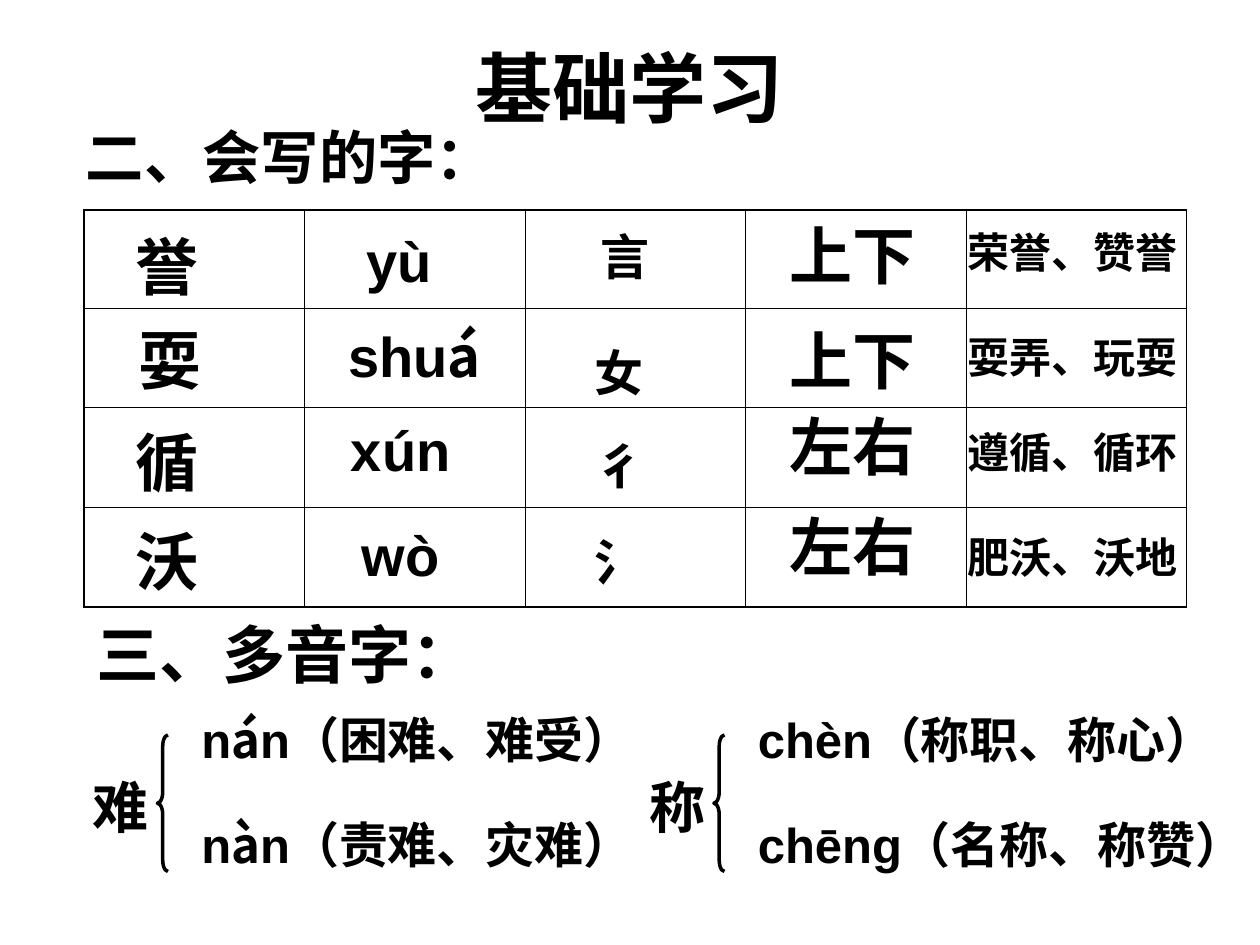
from lxml.etree import SubElement as Sub
from pptx import Presentation
from pptx.dml.color import RGBColor as RGB
from pptx.enum.shapes import MSO_SHAPE as Shape
from pptx.enum.text import MSO_ANCHOR as Anchor, MSO_AUTO_SIZE as Auto, PP_ALIGN as Align
from pptx.oxml.ns import qn
from pptx.util import Pt

COLORS = {"ink": "000000", "paper": "FFFFFF"}
ARIAL, TIMES, NOTO = "Arial", "Times New Roman", "Noto Sans CJK SC"


class Deck:
    thin, thick = 0.45, 1.08
    frame = {"word_wrap": True, "auto_size": Auto.NONE, "vertical_anchor": Anchor.TOP}

    def __init__(self, prs):
        self.s = prs.slides.add_slide(prs.slide_layouts[6])
        self.ink = RGB.from_string(COLORS["ink"])
        fill = self.s.background.fill
        fill.solid()
        fill.fore_color.rgb = RGB.from_string(COLORS["paper"])

    def text(self, box, runs, size, font=ARIAL, align=Align.LEFT, **frame):
        tf = self.s.shapes.add_textbox(*map(Pt, box)).text_frame
        for key, value in {**self.frame, **frame}.items():
            setattr(tf, key, value)
        p = tf.paragraphs[0]
        p.alignment = align
        for run in [runs] if isinstance(runs, str) else runs:
            words, name = (run, font) if isinstance(run, str) else run
            r = p.add_run()
            r.text = words
            for key, value in {"size": Pt(size), "bold": True, "name": name}.items():
                setattr(r.font, key, value)
            r.font.color.rgb = self.ink

    def border(self, cell, side, width):
        ln = Sub(cell._tc.get_or_add_tcPr(), qn(f"a:ln{side}"), w=str(int(Pt(width))))
        Sub(Sub(ln, qn("a:solidFill")), qn("a:srgbClr"), val=COLORS["ink"])

    def grid(self, left, top, widths, heights):
        rows, cols = len(heights), len(widths)
        box = map(Pt, (left, top, sum(widths), sum(heights)))
        table = self.s.shapes.add_table(rows, cols, *box).table
        table.first_row = table.horz_banding = False
        for col, width in zip(table.columns, widths):
            col.width = Pt(width)
        for i, height in enumerate(heights):
            table.rows[i].height = Pt(height)
            for j in range(cols):
                cell = table.cell(i, j)
                edges = {"L": j == 0, "R": j == cols - 1, "T": i == 0, "B": i == rows - 1}
                for side, outer in edges.items():
                    self.border(cell, side, self.thick if outer else self.thin)
                cell.fill.background()

    def brace(self, *box):
        sp = self.s.shapes.add_shape(Shape.LEFT_BRACE, *map(Pt, box))
        sp.shadow.inherit = False
        sp.fill.background()
        sp.line.color.rgb = self.ink
        sp.line.width = Pt(2)
        sp.adjustments[0] = 1.08


def main():
    prs = Presentation()
    prs.slide_width, prs.slide_height = Pt(720), Pt(540)
    deck = Deck(prs)
    deck.text((36, 18, 648, 63), "基础学习", 44, align=Align.CENTER,
              vertical_anchor=Anchor.MIDDLE)
    deck.text((42, 66, 402, 50), "二、会写的字：", 33.3)
    deck.grid(48, 120, [126] * 5, [56, 57, 57, 57])

    columns = [
        (36, 50, Align.LEFT, [
            (70.5, 126.5, 73, "誉", TIMES), (72, 180, 73, "耍", TIMES),
            (70.5, 238.5, 73, "循", TIMES), (70.5, 295, 73, "沃", TIMES)]),
        (32, 46, Align.CENTER, [
            (174, 126, 108, "yù", ARIAL), (180, 180, 114, ["shu", ("á", NOTO)], ARIAL),
            (192, 234, 74, "xún", ARIAL), (192, 294, 74, "wò", ARIAL)]),
        (28, 41, Align.CENTER, [
            (309, 126, 96, "言", NOTO), (303, 192, 102, "女", NOTO),
            (306, 245.5, 96, "彳", NOTO), (297, 300, 113, "氵", NOTO)]),
        (36, 50, Align.LEFT, [
            (444, 120, 102, "上下", TIMES), (444, 180, 91, "上下", ARIAL),
            (444, 229.5, 96, "左右", ARIAL), (444, 286.5, 96, "左右", ARIAL)]),
        (24, 36, Align.LEFT, [
            (546, 126, 144, "荣誉、赞誉", TIMES), (546, 186, 156, "耍弄、玩耍", ARIAL),
            (546, 240, 144, "遵循、循环", TIMES), (546, 300, 156, "肥沃、沃地", ARIAL)]),
    ]
    for size, height, align, entries in columns:
        for left, top, width, runs, font in entries:
            deck.text((left, top, width, height), runs, size, font, align,
                      auto_size=Auto.SHAPE_TO_FIT_TEXT)

    deck.text((48, 348, 402, 50), "三、多音字：", 36)
    polyphones = [
        (36, "难", 276, ["n", ("á", NOTO), "n（困难、难受）"],
         ["n", ("à", NOTO), "n（责难、灾难）"], 41),
        (354, "称", 294, "chèn（称职、称心）", "chēng（名称、称赞）", 75),
    ]
    for left, word, width, upper, lower, height in polyphones:
        deck.text((left, 438, 66, 46), word, 32, align=Align.CENTER)
        deck.brace(left + 54, 420, 6, 78)
        deck.text((left + 72, 402, width, 41), upper, 28)
        deck.text((left + 72, 462, width, height), lower, 28)
    prs.save("out.pptx")


if __name__ == "__main__":
    main()
